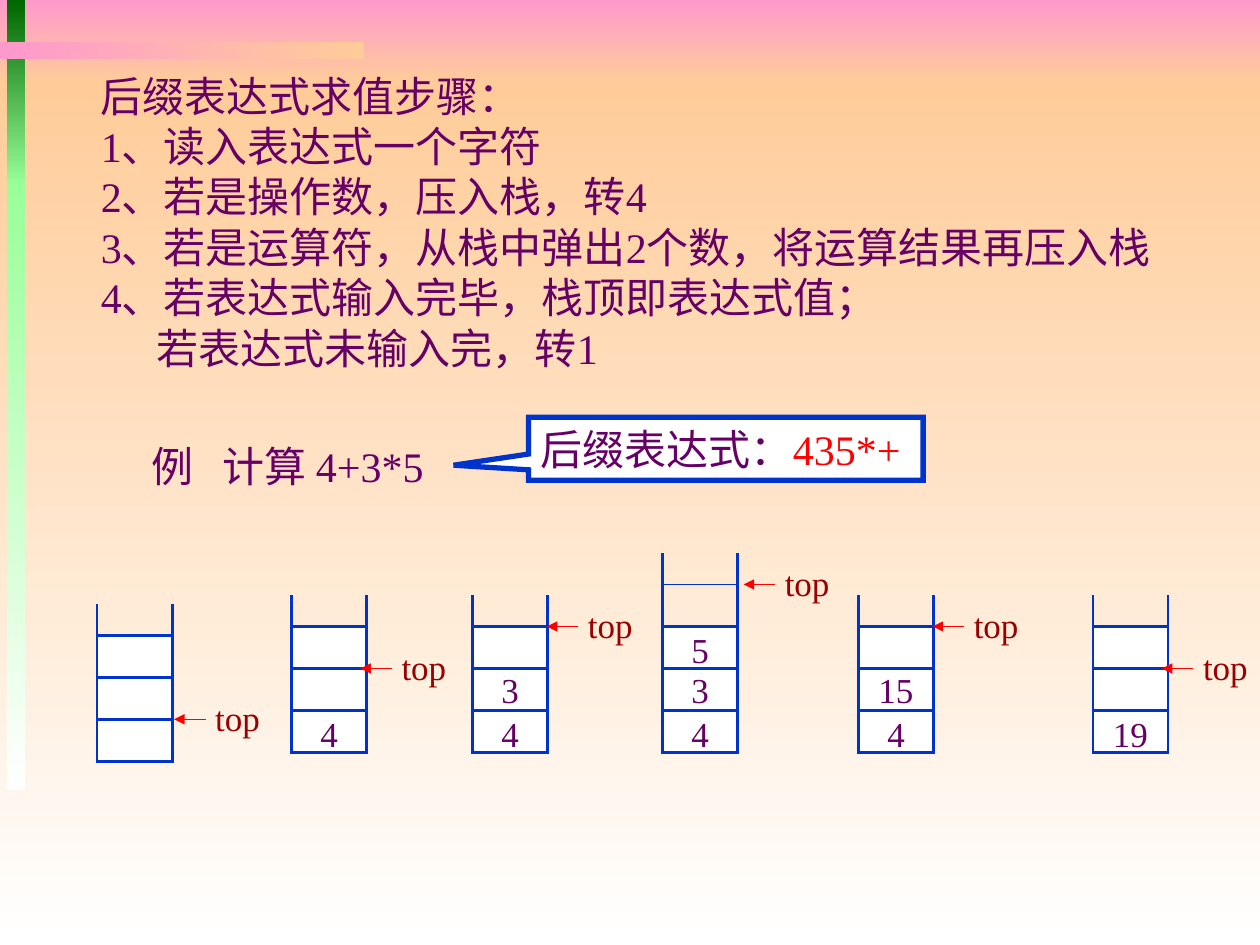
from lxml import etree
from pptx import Presentation
from pptx.dml.color import RGBColor
from pptx.enum import shapes, text
from pptx.oxml.ns import qn
from pptx.util import Pt

FONT = "Times New Roman"
BLUE, RED, PURPLE, MAROON, WHITE = "0033CC", "FF0000", "660066", "990000", "FFFFFF"

STEPS = [
    "后缀表达式求值步骤：",
    "1、读入表达式一个字符",
    "2、若是操作数，压入栈，转4",
    "3、若是运算符，从栈中弹出2个数，将运算结果再压入栈",
    "4、若表达式输入完毕，栈顶即表达式值；",
    "若表达式未输入完，转1",
]
EXAMPLE = "例\t计算 4+3*5"
CALLOUT = [("后缀表达式：", PURPLE), ("435*+", RED)]

# left, top, width, height, first colour, last colour, angle
BANDS = [
    (0, 0, 720, 48, "FF99CC", "FFCC99", 270),
    (0, 48, 720, 492, "FFCC99", "FFFFFF", 270),
    (4, 0, 10.3, 106.5, "006600", "99FF99", 270),
    (4, 105, 10.3, 346.5, "99FF99", "FFFFFF", 270),
    (0, 24, 208, 10, "FF99CC", "FFCC99", 0),
]

# left, base, wall height, arrow tip from left, values from the bottom up
STACKS = [
    (55.5, 435, 90, 44, []),
    (166.5, 430, 90, 39.5, ["4"]),
    (270, 430, 90, 42.5, ["4", "3"]),
    (378.5, 430, 114, 46.5, ["4", "3", "5"]),
    (490.5, 430, 90, 42.5, ["4", "15"]),
    (624.5, 430, 90, 39.5, ["19"]),
]
CELL_W, CELL_H, CELLS = 43, 24, 3
VALUE_RISE = [27, 52, 75]
ARROW, LABEL_W, LABEL_H = 18, 36.5, 32


def rgb(code):
    return RGBColor.from_string(code)


def add_box(s, kind, x, y, w, h, width=1.5):
    """White shape with a sharp-cornered blue outline."""
    sp = s.shapes.add_shape(kind, Pt(x), Pt(y), Pt(w), Pt(h))
    sp.shadow.inherit = False
    sp.fill.solid()
    sp.fill.fore_color.rgb = rgb(WHITE)
    sp.line.color.rgb = rgb(BLUE)
    sp.line.width = Pt(width)
    etree.SubElement(sp.line._get_or_add_ln(), qn("a:miter"), lim="800000")
    return sp


def add_band(s, x, y, w, h, first, last, angle):
    sp = add_box(s, shapes.MSO_SHAPE.RECTANGLE, x, y, w, h)
    sp.line.fill.background()
    sp.fill.gradient()
    sp.fill.gradient_angle = angle
    for stop, code in zip(sp.fill.gradient_stops, (first, last)):
        stop.color.rgb = rgb(code)


def add_line(s, x1, y1, x2, y2, code=BLUE, width=1.5, arrow=False):
    line = s.shapes.add_connector(
        shapes.MSO_CONNECTOR.STRAIGHT, Pt(x1), Pt(y1), Pt(x2), Pt(y2))
    line.line.color.rgb = rgb(code)
    line.line.width = Pt(width)
    if arrow:
        etree.SubElement(line.line._get_or_add_ln(), qn("a:tailEnd"), type="triangle")
    etree.SubElement(line._element.spPr, qn("a:effectLst"))


def style(r, size, code):
    r.font.name = FONT
    r.font.size = Pt(size)
    r.font.color.rgb = rgb(code)


def add_text(s, x, y, w, h, content, size=24, code=PURPLE, align=text.PP_ALIGN.LEFT):
    tf = s.shapes.add_textbox(Pt(x), Pt(y), Pt(w), Pt(h)).text_frame
    tf.text = content
    tf.word_wrap = True
    tf.vertical_anchor = text.MSO_ANCHOR.MIDDLE
    for p in tf.paragraphs:
        p.alignment = align
        for r in p.runs:
            style(r, size, code)
    return tf


def add_label(s, x, y, w, content, code):
    tf = add_text(s, x, y, w, LABEL_H, content, 20, code, text.PP_ALIGN.CENTER)
    tf.margin_left = tf.margin_right = 0


def add_stack(s, left, base, wall, tip, values):
    for x in (left, left + CELL_W):
        add_line(s, x, base, x, base - wall)
    for i in range(1, CELLS + 1):
        add_box(s, shapes.MSO_SHAPE.RECTANGLE, left, base - i * CELL_H, CELL_W, CELL_H)
    level = len(values) + 1
    top = base - level * CELL_H
    if level > CELLS:
        add_line(s, left, top, left + CELL_W, top, width=0.75)
    start = left + tip + ARROW
    add_line(s, start, top, left + tip, top, RED, 0.75, arrow=True)
    add_label(s, start, top - 17, LABEL_W, "top", MAROON)
    for value, rise in zip(values, VALUE_RISE):
        add_label(s, left, base - rise, CELL_W, value, PURPLE)


def main():
    prs = Presentation()
    prs.slide_width, prs.slide_height = Pt(720), Pt(540)
    s = prs.slides.add_slide(prs.slide_layouts[6])

    for band in BANDS:
        add_band(s, *band)

    steps = add_text(s, 50.5, 36.5, 650, 180, "\n".join(STEPS))
    steps.vertical_anchor = text.MSO_ANCHOR.TOP
    steps.paragraphs[-1]._p.get_or_add_pPr().set("marL", str(Pt(32)))

    example = add_text(s, 79.5, 248, 190, 36, EXAMPLE)
    tabs = etree.SubElement(example.paragraphs[0]._p.get_or_add_pPr(), qn("a:tabLst"))
    etree.SubElement(tabs, qn("a:tab"), pos=str(Pt(40.5)), algn="l")

    callout = add_box(s, shapes.MSO_SHAPE.RECTANGULAR_CALLOUT, 302, 238.5, 225.5, 36, 3)
    callout.adjustments[0], callout.adjustments[1] = -0.69, 0.26
    tf = callout.text_frame
    tf.word_wrap = True
    tf.margin_right = 0
    tf.vertical_anchor = text.MSO_ANCHOR.MIDDLE
    p = tf.paragraphs[0]
    p.alignment = text.PP_ALIGN.LEFT
    for content, code in CALLOUT:
        r = p.add_run()
        r.text = content
        style(r, 24, code)

    for stack in STACKS:
        add_stack(s, *stack)

    prs.save("out.pptx")


if __name__ == "__main__":
    main()
